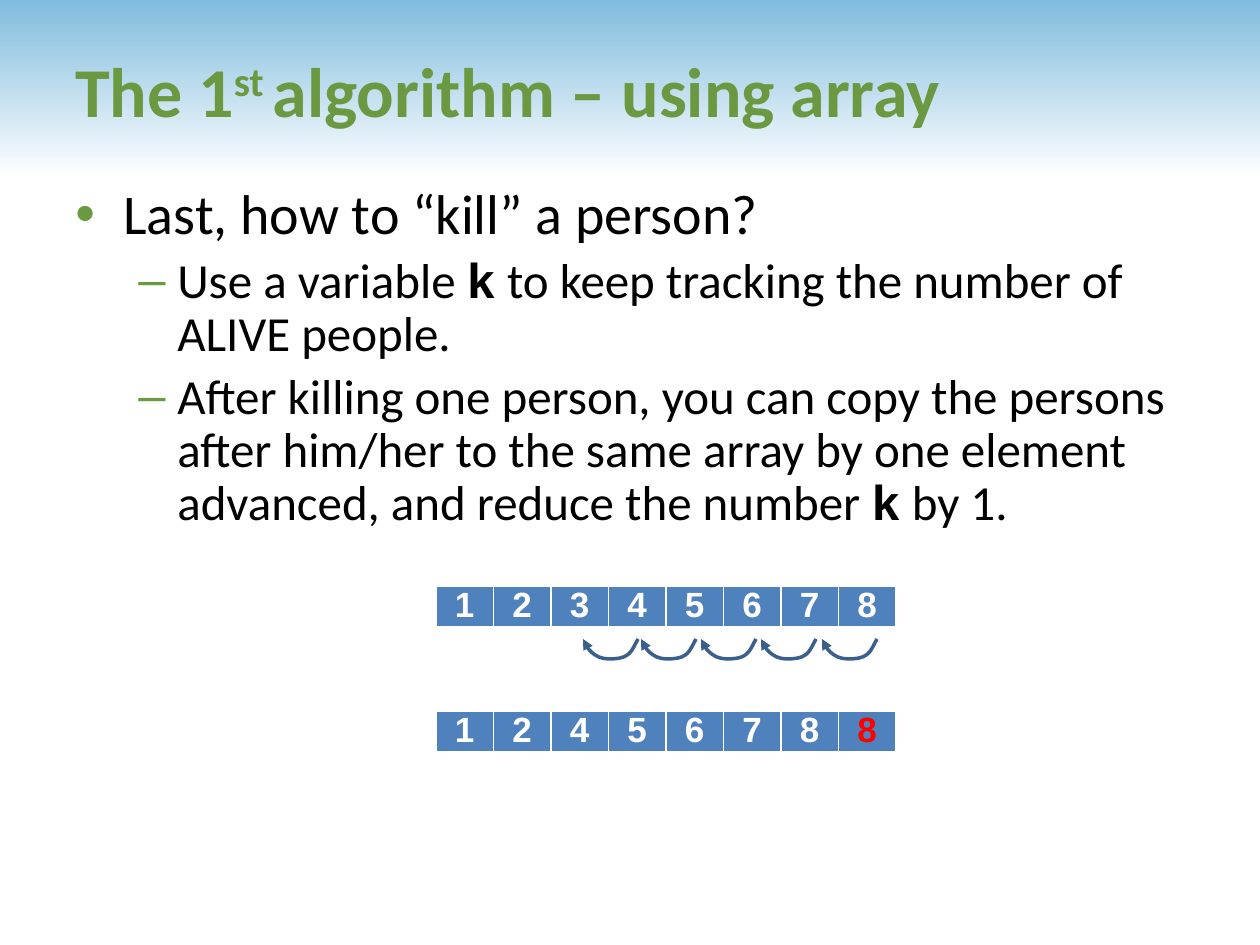
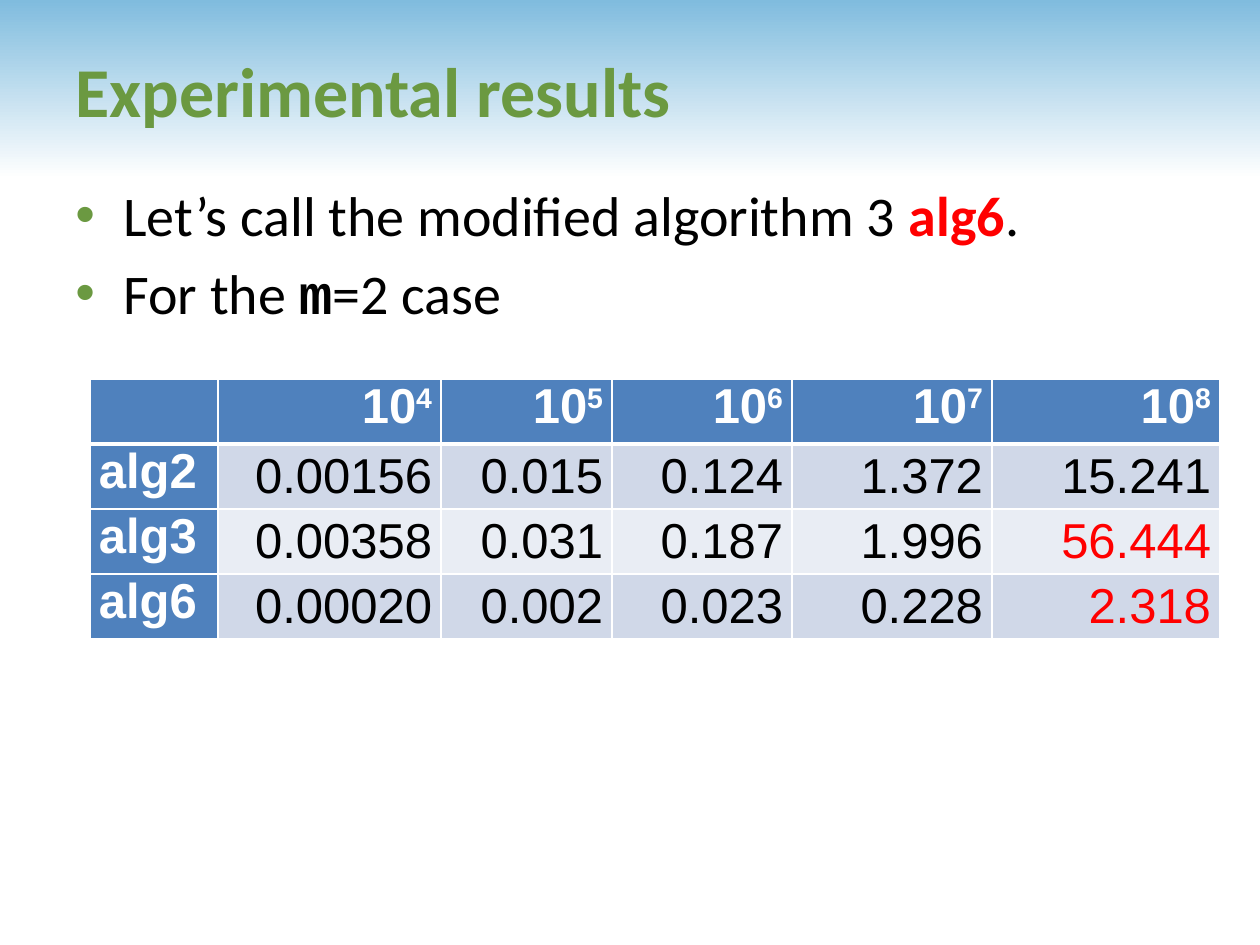
"""Builds two slides on array deletion and its experimental results."""
from lxml import etree
from pptx import Presentation
from pptx import util as u
from pptx.dml.color import RGBColor
from pptx.enum import shapes, text
from pptx.oxml.ns import qn

PX = 914400 / 126
GREEN = RGBColor(0x6B, 0x99, 0x41)
SKY = RGBColor(0x80, 0xBC, 0xDE)
BLUE = RGBColor(0x4F, 0x81, 0xBD)
ARROW = RGBColor(0x3A, 0x5F, 0x8C)
BANDS = (RGBColor(0xD0, 0xD8, 0xE8), RGBColor(0xE9, 0xED, 0xF4))
RED = RGBColor(0xFF, 0, 0)
BLACK = RGBColor(0, 0, 0)
WHITE = RGBColor(0xFF, 0xFF, 0xFF)
LEVELS = ((32, "•", 48, -48), (28, "–", 102, -39))
CENTER, RIGHT = text.PP_ALIGN.CENTER, text.PP_ALIGN.RIGHT
MIDDLE = text.MSO_ANCHOR.MIDDLE


def px(n):
    return u.Emu(round(n * PX))


def sub(parent, tag, **attrs):
    return etree.SubElement(parent, qn(tag), attrs)


def set_font(font, size, name, color, bold=False):
    font.size, font.name, font.bold = u.Pt(size), name, bold
    font.color.rgb = color


def add_runs(p, runs):
    """Each run is a string or a pair of a string and a style name."""
    for item in runs:
        words, style = (item, "") if isinstance(item, str) else item
        r = p.add_run()
        r.text = words
        if style == "code":
            r.font.name, r.font.bold = "Courier New", True
        elif style == "red":
            r.font.color.rgb, r.font.bold = RED, True
        elif style == "super":
            r._r.get_or_add_rPr().set("baseline", "30000")


def add_text_box(s, left, top, width, height):
    tf = s.shapes.add_textbox(px(left), px(top), px(width), px(height)).text_frame
    tf.word_wrap = True
    return tf


def add_band_and_title(s, *runs):
    sp = s.shapes.add_shape(shapes.MSO_SHAPE.RECTANGLE, 0, 0, px(1260), px(179))
    sp.shadow.inherit = False
    sp.line.fill.background()
    sp.fill.gradient()
    sp.fill.gradient_angle = 270
    for stop, color in zip(sp.fill.gradient_stops, (SKY, WHITE)):
        stop.color.rgb = color
    tf = add_text_box(s, 63, 10, 1144, 158)
    tf.vertical_anchor = MIDDLE
    p = tf.paragraphs[0]
    add_runs(p, runs)
    set_font(p.font, 40, "Calibri", GREEN, True)


def add_bullets(s, top, width, height, items, spacing):
    tf = add_text_box(s, 63, top, width, height)
    for i, (level, *runs) in enumerate(items):
        size, char, margin, indent = LEVELS[level]
        p = tf.add_paragraph() if i else tf.paragraphs[0]
        p.level, p.line_spacing = level, spacing
        if i:
            p.space_before = u.Pt(size * 0.2)
        pPr = p._p.get_or_add_pPr()
        pPr.set("marL", str(px(margin)))
        pPr.set("indent", str(px(indent)))
        sub(sub(pPr, "a:buClr"), "a:srgbClr", val=str(GREEN))
        sub(pPr, "a:buFont", typeface="Arial")
        sub(pPr, "a:buChar", char=char)
        set_font(p.font, size, "Calibri", BLACK)
        add_runs(p, runs)


def add_grid(s, left, top, widths, row_height, rows):
    table = s.shapes.add_table(rows, len(widths), px(left), px(top),
                               px(sum(widths)), px(row_height * rows)).table
    table.first_row = table.horz_banding = False
    for column, width in zip(table.columns, widths):
        column.width = px(width)
    for row in table.rows:
        row.height = px(row_height)
    return table


def style_cell(cell, fill, borders):
    """Borders map a side letter to a width in points."""
    tcPr = cell._tc.get_or_add_tcPr()
    for side, width in borders.items():
        ln = sub(tcPr, "a:ln" + side, w=str(u.Pt(width)))
        sub(sub(ln, "a:solidFill"), "a:srgbClr", val=str(WHITE))
    cell.fill.solid()
    cell.fill.fore_color.rgb = fill
    cell.margin_left = cell.margin_right = px(9)
    cell.margin_top = cell.margin_bottom = 0


def fill_cell(cell, size, color, bold, align, *runs):
    p = cell.text_frame.paragraphs[0]
    p.alignment = align
    set_font(p.font, size, "Arial", color, bold)
    add_runs(p, runs)


def add_array(s, top, height, values, dead=None):
    table = add_grid(s, 436, top, [57.5] * len(values), height, 1)
    for i, value in enumerate(values):
        cell = table.cell(0, i)
        style_cell(cell, BLUE, {"L": 1, "R": 1, "T": 1, "B": 3})
        fill_cell(cell, 20, RED if i == dead else WHITE, True, CENTER, value)


def bezier(a, b, c, d, steps=10):
    for k in range(1, steps + 1):
        t = k / steps
        yield tuple((1 - t) ** 3 * e + 3 * t * (1 - t) ** 2 * f
                    + 3 * t * t * (1 - t) * g + t ** 3 * h
                    for e, f, g, h in zip(a, b, c, d))


def add_shift_arrow(s, left, top):
    start, bottom, end = (55, 0), (26, 20), (0, 0)
    curve = [*bezier(start, (48, 13), (47, 20), bottom),
             *bezier(bottom, (6, 20), end, end)]
    builder = s.shapes.build_freeform(px(left + start[0]), px(top))
    builder.add_line_segments([(px(left + x), px(top + y)) for x, y in curve],
                              close=False)
    sp = builder.convert_to_shape()
    sp.shadow.inherit = False
    sp.fill.background()
    sp.line.color.rgb, sp.line.width = ARROW, u.Pt(2)
    sub(sp.line._get_or_add_ln(), "a:tailEnd", type="triangle")


def add_results(s, powers, results):
    table = add_grid(s, 90, 379, (128, 223, 171, 180, 200, 228), 65, len(results) + 1)
    for col, power in enumerate(("", *powers)):
        cell = table.cell(0, col)
        style_cell(cell, BLUE, {"L": 1, "R": 1, "T": 1, "B": 3})
        if power:
            fill_cell(cell, 28, WHITE, True, RIGHT, "10", (power, "super"))
    for row, (name, *times) in enumerate(results, 1):
        for col, value in enumerate((name, *times)):
            cell = table.cell(row, col)
            style_cell(cell, BANDS[(row - 1) % 2] if col else BLUE,
                       {"L": 1, "R": 1, "B": 1})
            if col:
                slow = row > 1 and col == len(times)
                cell.vertical_anchor = MIDDLE
                fill_cell(cell, 28, RED if slow else BLACK, False, RIGHT, value)
            else:
                fill_cell(cell, 28, WHITE, True, None, value)


def array_slide(s):
    add_band_and_title(s, "The 1", ("st ", "super"), "algorithm – using array")
    add_bullets(s, 180, 1134, 696, (
        (0, "Last, how to “kill” a person?"),
        (1, "Use a variable ", ("k", "code"),
         " to keep tracking the number of ALIVE people."),
        (1, "After killing one person, you can copy the persons after him/her to "
            "the same array by one element advanced, and reduce the number ",
         ("k", "code"), " by 1."),
    ), 0.9)
    add_array(s, 586, 40, "12345678")
    add_array(s, 711, 38, "12456788", dead=7)
    for left in (583, 641, 701, 761, 822):
        add_shift_arrow(s, left, 639)


def results_slide(s):
    add_band_and_title(s, "Experimental results")
    add_bullets(s, 174, 1144, 567, (
        (0, "Let’s call the modified algorithm 3 ", ("alg6", "red"), "."),
        (0, "For the ", ("m", "code"), "=2 case"),
    ), 1.0)
    add_results(s, "45678", (
        ("alg2", "0.00156", "0.015", "0.124", "1.372", "15.241"),
        ("alg3", "0.00358", "0.031", "0.187", "1.996", "56.444"),
        ("alg6", "0.00020", "0.002", "0.023", "0.228", "2.318"),
    ))


def main():
    prs = Presentation()
    prs.slide_width, prs.slide_height = px(1260), px(945)
    for build in (array_slide, results_slide):
        build(prs.slides.add_slide(prs.slide_layouts[6]))
    prs.save("out.pptx")


if __name__ == "__main__":
    main()
